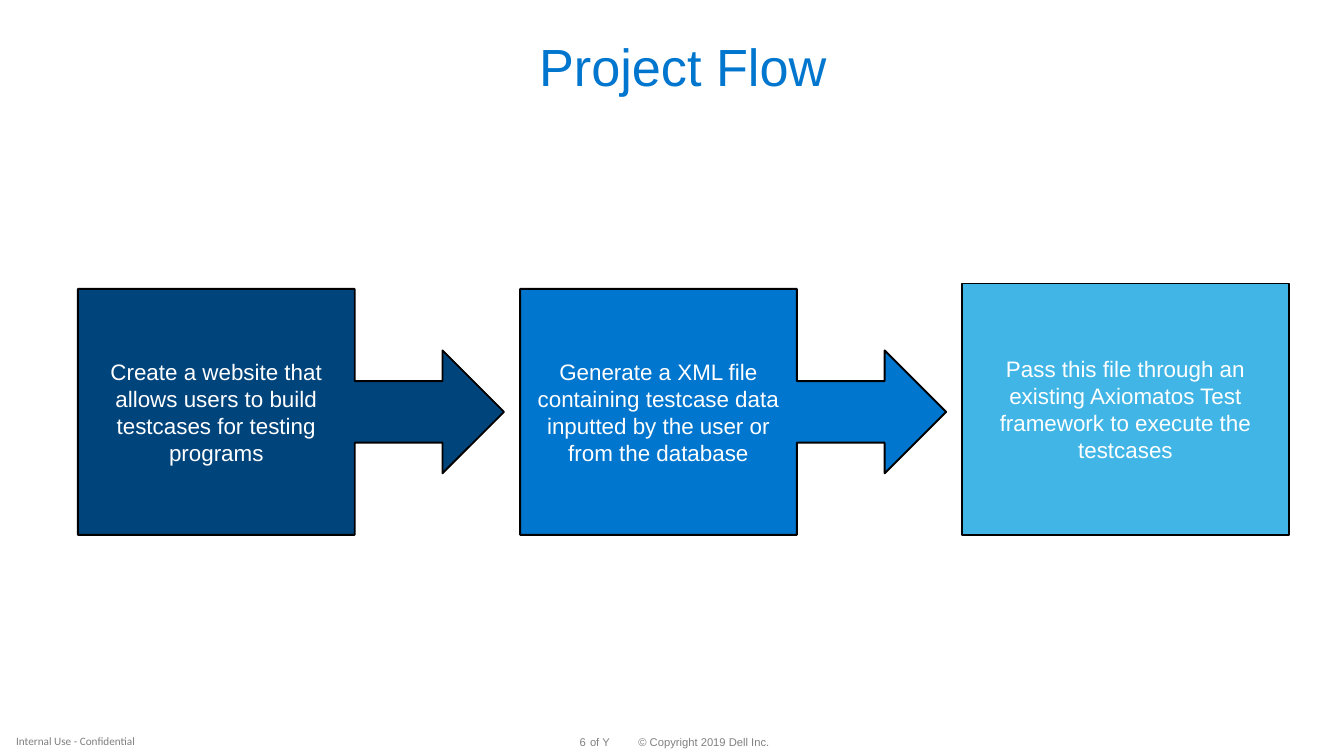
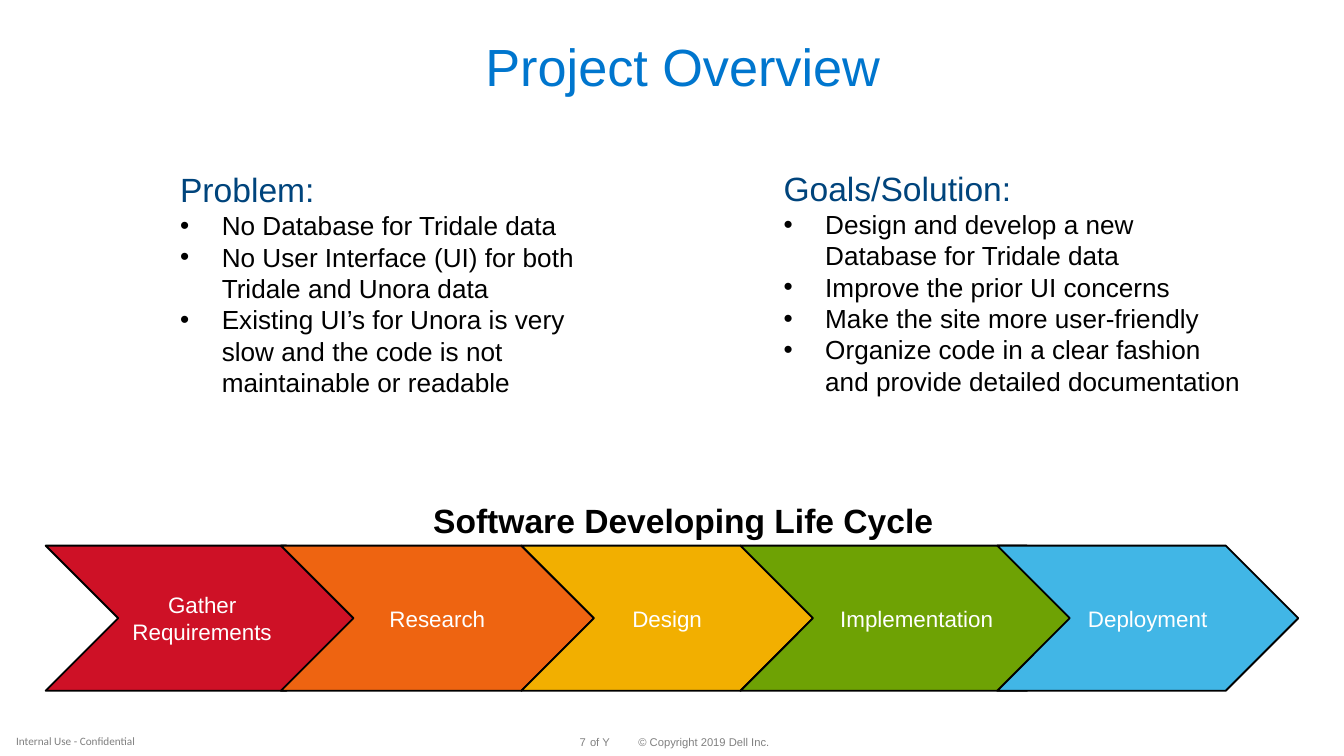
from collections import namedtuple
from dataclasses import dataclass

from lxml.etree import SubElement
from pptx import Presentation
from pptx.dml.color import RGBColor
from pptx.enum.shapes import MSO_SHAPE as Shape
from pptx.enum.text import MSO_ANCHOR as Anchor, MSO_AUTO_SIZE as AutoSize, PP_ALIGN as Align
from pptx.oxml.ns import qn
from pptx.util import Emu, Pt

PX = 9144
PAGE_WIDTH = 1000
TITLE_ONLY, TWO_CONTENT = 5, 3
Box = namedtuple("Box", "left top width height")


@dataclass(frozen=True)
class Theme:
    font: str = "Arial"
    label_font: str = "Calibri"
    blue: str = "0076CE"
    navy: str = "00447C"
    sky: str = "41B6E6"
    red: str = "CE1126"
    orange: str = "EE6411"
    amber: str = "F2AF00"
    green: str = "6EA204"
    black: str = "000000"
    white: str = "FFFFFF"
    grey: str = "808080"
    label_grey: str = "7F7F7F"
    title_size: int = 28
    heading_size: int = 18
    list_size: int = 14
    shape_size: int = 12
    footer_size: int = 6
    outline: int = 1


THEME = Theme()


def px(length):
    return Emu(length * PX)


def place(item, box):
    item.left, item.top, item.width, item.height = map(px, box)


def style(para, size, color, align=Align.LEFT, spacing=1.0, font=THEME.font, bold=False):
    para.alignment = align
    para.line_spacing = spacing
    para.space_before = para.space_after = Pt(0)
    for span in para.runs:
        span.font.name = font
        span.font.size = Pt(size)
        span.font.bold = bold
        span.font.color.rgb = RGBColor.from_string(color)


def set_frame(frame, anchor=Anchor.TOP, wrap=True):
    frame.margin_left = frame.margin_right = frame.margin_top = frame.margin_bottom = 0
    frame.auto_size = AutoSize.NONE
    frame.vertical_anchor = anchor
    frame.word_wrap = wrap


def add_text(page, box, text, size, color, anchor=Anchor.TOP, wrap=True, **looks):
    frame = page.shapes.add_textbox(*map(px, box)).text_frame
    set_frame(frame, anchor, wrap)
    frame.text = text
    style(frame.paragraphs[0], size, color, **looks)


def add_block(shapes, kind, box, text, fill):
    block = shapes.add_shape(kind, *map(px, box))
    block.shadow.inherit = False
    block.fill.solid()
    block.fill.fore_color.rgb = RGBColor.from_string(fill)
    block.line.color.rgb = RGBColor.from_string(THEME.black)
    block.line.width = Pt(THEME.outline)
    frame = block.text_frame
    frame.word_wrap = True
    frame.vertical_anchor = Anchor.MIDDLE
    frame.text = text
    style(frame.paragraphs[0], THEME.shape_size, THEME.white, Align.CENTER)


def set_title(page, box, text):
    title = page.shapes.title
    place(title, box)
    set_frame(title.text_frame)
    title.text_frame.text = text
    style(title.text_frame.paragraphs[0], THEME.title_size, THEME.blue, Align.CENTER, 0.9)


def add_footer(page, box, number):
    entries = [
        (475, 99, "© Copyright 2019 Dell Inc.", Align.LEFT),
        (426, 10, str(number), Align.RIGHT),
        (439, 15, "of Y", Align.LEFT),
    ]
    for left, width, text, align in entries:
        add_text(page, Box(box.left + left, box.top + 7, width, 9), text,
                 THEME.footer_size, THEME.grey, Anchor.MIDDLE, False,
                 align=align, spacing=0.9)
    add_text(page, Box(box.left + 12, box.top, 101, box.height), "Internal Use - Confidential",
             THEME.footer_size, THEME.label_grey, Anchor.MIDDLE, font=THEME.label_font)


def start_page(deck, layout, title, number):
    page = deck.slides.add_slide(deck.slide_layouts[layout])
    set_title(page, Box(33, 31, 950, 42), title)
    add_footer(page, Box(0, 541, PAGE_WIDTH, 21), number)
    return page


def set_bullet(para, symbol=None, indent=0):
    props = para._p.get_or_add_pPr()
    props.set("marL", str(px(indent)))
    props.set("indent", str(-px(indent)))
    if symbol:
        font = SubElement(props, qn("a:buFont"))
        font.set("typeface", THEME.font)
        SubElement(props, qn("a:buChar")).set("char", symbol)
    else:
        SubElement(props, qn("a:buNone"))


def fill_list(body, box, heading, items):
    place(body, box)
    frame = body.text_frame
    set_frame(frame)
    frame.text = "\n".join([heading, *items])
    first, *rest = frame.paragraphs
    set_bullet(first)
    style(first, THEME.heading_size, THEME.navy)
    for para in rest:
        set_bullet(para, "•", 31)
        style(para, THEME.list_size, THEME.black)


def add_flow(page, box):
    steps = [
        ("Create a website that allows users to build testcases for testing programs", THEME.navy),
        ("Generate a XML file containing testcase data inputted by the user or from the database",
         THEME.blue),
    ]
    callout_width, pitch, rise = 317, 329, 4
    left = box.left
    for text, fill in steps:
        add_block(page.shapes, Shape.RIGHT_ARROW_CALLOUT,
                  Box(left, box.top + rise, callout_width, box.height - rise), text, fill)
        left += pitch
    add_block(page.shapes, Shape.RECTANGLE,
              Box(left, box.top, box.left + box.width - left, box.height),
              "Pass this file through an existing Axiomatos Test framework to execute the testcases",
              THEME.sky)


def add_life_cycle(page, box):
    stages = [
        ("Gather Requirements", 0, 233, THEME.red),
        ("Research", 175, 233, THEME.orange),
        ("Design", 354, 217, THEME.amber),
        ("Implementation ", 517, 267, THEME.green),
        ("Deployment", 708, 224, THEME.sky),
    ]
    band = page.shapes.add_group_shape()
    for text, left, width, fill in stages:
        add_block(band.shapes, Shape.CHEVRON,
                  Box(box.left + left, box.top + 34, width, box.height - 34), text, fill)
    add_text(page, Box(box.left + 66, box.top, 817, 30), "Software Developing Life Cycle",
             THEME.heading_size, THEME.black, align=Align.CENTER, bold=True)


def build_flow_page(deck):
    page = start_page(deck, TITLE_ONLY, "Project Flow", 6)
    add_flow(page, Box(58, 211, 901, 187))


def build_overview_page(deck):
    page = start_page(deck, TWO_CONTENT, "Project Overview", 7)
    fill_list(page.placeholders[1], Box(134, 126, 319, 202), "Problem:", [
        "No Database for Tridale data",
        "No User Interface (UI) for both Tridale and Unora data",
        "Existing UI’s for Unora is very slow and the code is not maintainable or readable",
    ])
    fill_list(page.placeholders[2], Box(583, 125, 342, 232), "Goals/Solution:", [
        "Design and develop a new Database for Tridale data",
        "Improve the prior UI concerns",
        "Make the site more user-friendly",
        "Organize code in a clear fashion and provide detailed documentation",
    ])
    add_life_cycle(page, Box(34, 372, 932, 142))


def main():
    deck = Presentation()
    deck.slide_width = px(PAGE_WIDTH)
    deck.slide_height = deck.slide_width * 9 // 16
    build_flow_page(deck)
    build_overview_page(deck)
    deck.save("out.pptx")


if __name__ == "__main__":
    main()
